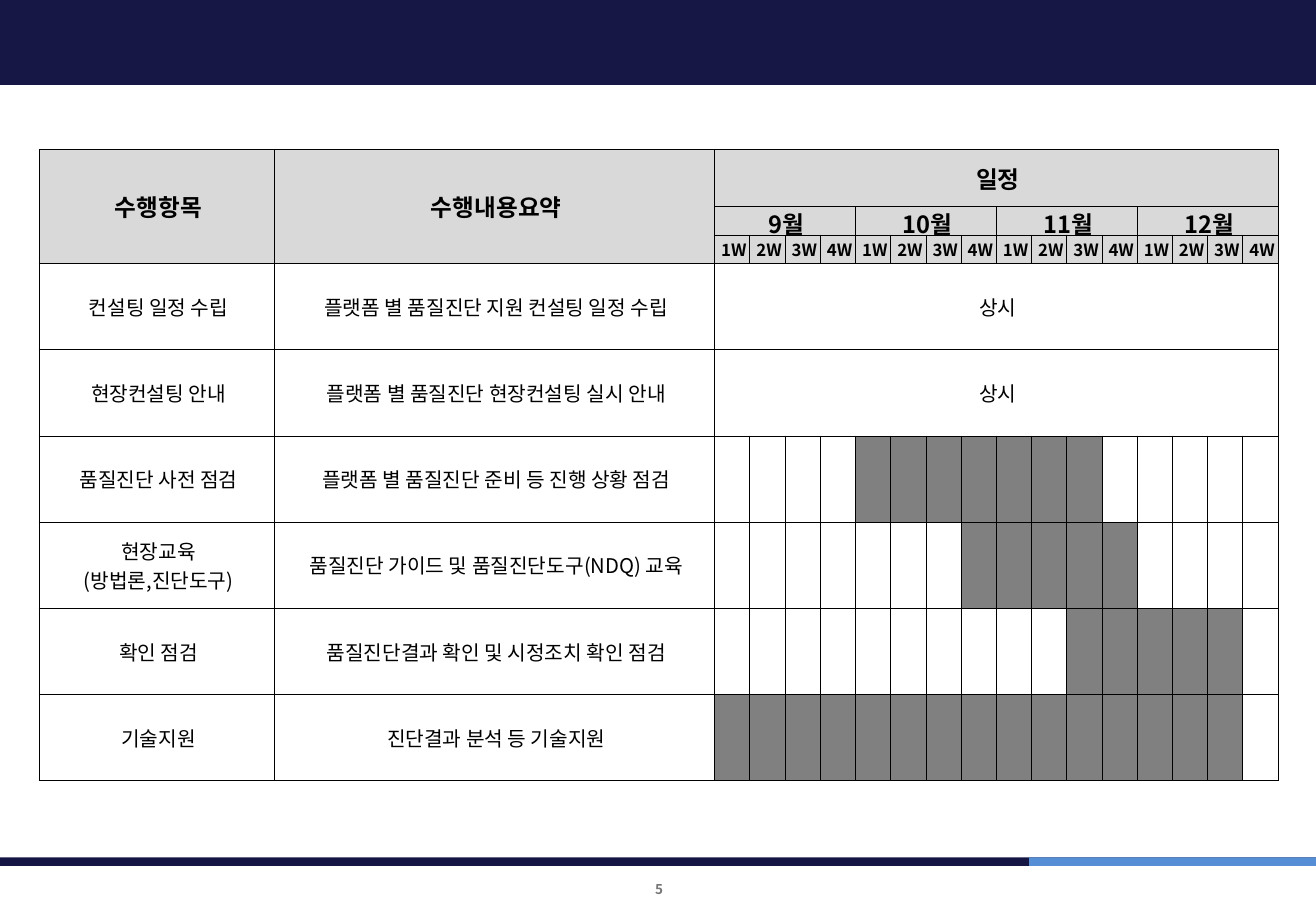
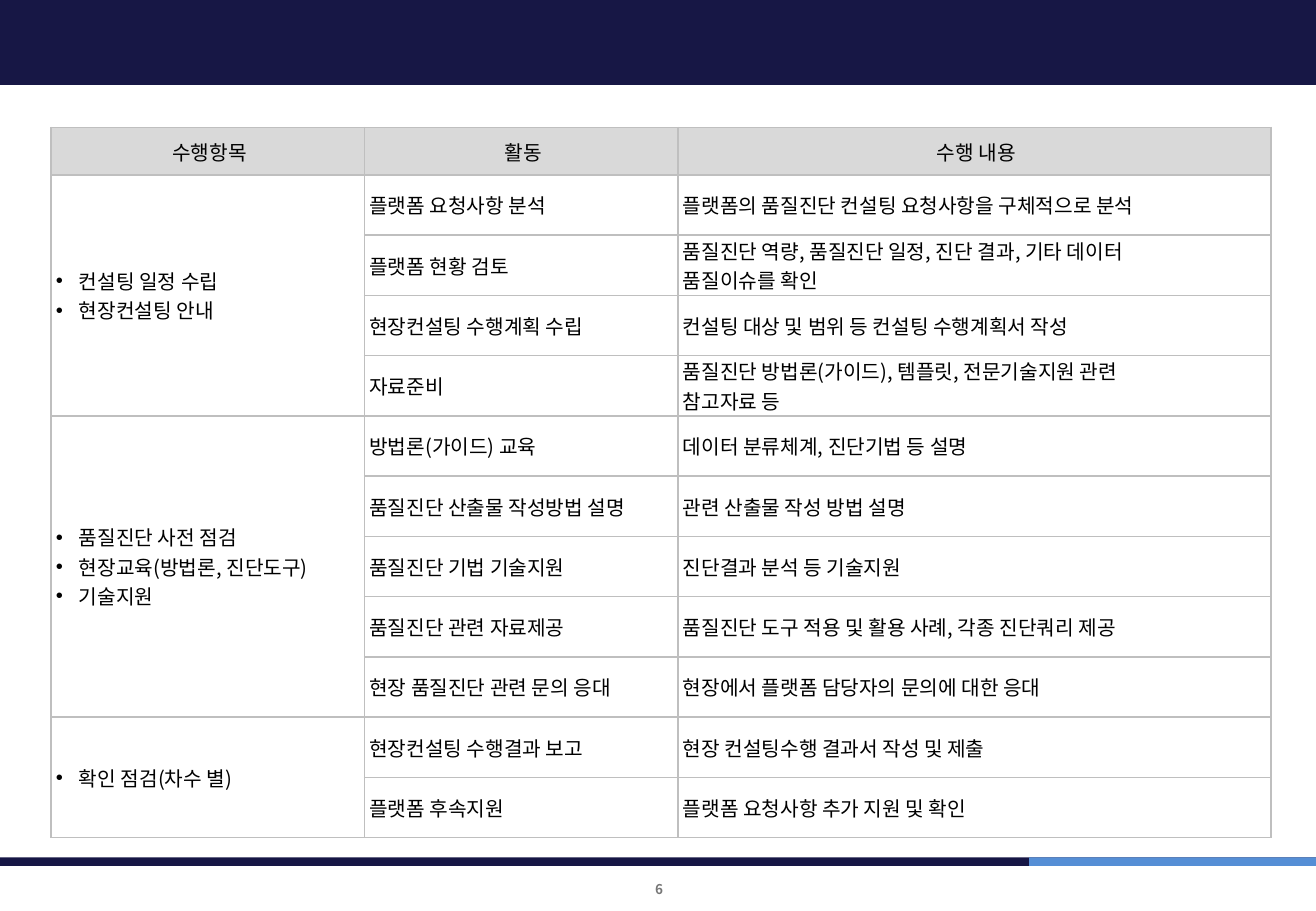
from lxml.etree import SubElement
from pptx import Presentation
from pptx.dml.color import RGBColor
from pptx.enum.shapes import MSO_SHAPE as Shape
from pptx.enum.text import MSO_ANCHOR as Anchor, PP_ALIGN as Align
from pptx.oxml import parse_xml
from pptx.oxml.ns import nsdecls, qn
from pptx.util import Inches, Pt

COLORS = {
    "band": "171745", "rule": "161645", "accent": "558ED5", "number": "777777",
    "white": "FFFFFF", "black": "000000", "header": "D9D9D9", "busy": "808080",
    "grid": "BFBFBF",
}
BODY_FONT = "Noto Sans CJK KR"
BULLET_FONT = "Arial"


def style_para(para, size, color, bold=False, align=Align.LEFT):
    para.alignment = align
    font = para.font
    font.size, font.bold, font.name = Pt(size), bold, BODY_FONT
    font.color.rgb = RGBColor.from_string(COLORS[color])
    east_asian = SubElement(para._p.pPr.find(qn("a:defRPr")), qn("a:ea"))
    east_asian.set("typeface", BODY_FONT)


def fill_cell(cell, text, fill, border, border_width, size=12, bold=False,
              align=Align.CENTER, bullet=False):
    cell.margin_left, cell.margin_right = Inches(0.04), Inches(0.01)
    cell.margin_top = cell.margin_bottom = 0
    cell.vertical_anchor = Anchor.MIDDLE
    properties = cell._tc.get_or_add_tcPr()
    for side in ("lnL", "lnR", "lnT", "lnB"):
        properties.append(parse_xml(
            f'<a:{side} {nsdecls("a")} w="{Pt(border_width)}"><a:solidFill>'
            f'<a:srgbClr val="{COLORS[border]}"/></a:solidFill></a:{side}>'))
    cell.fill.solid()
    cell.fill.fore_color.rgb = RGBColor.from_string(COLORS[fill])
    cell.text_frame.text = text
    for para in cell.text_frame.paragraphs:
        style_para(para, size, "black", bold, align)
        if bullet:
            para_properties = para._p.pPr
            para_properties.set("marL", str(Inches(0.19)))
            para_properties.set("indent", str(-Inches(0.19)))
            para_properties.insert(0, parse_xml(
                f'<a:buFont {nsdecls("a")} typeface="{BULLET_FONT}"/>'))
            para_properties.insert(1, parse_xml(f'<a:buChar {nsdecls("a")} char="•"/>'))


deck = Presentation()
deck.slide_width, deck.slide_height = Inches(10.83), Inches(7.5)

bands = [
    (0, 0, 10.83, 0.7, "band"),
    (0, 7.06, 10.83, 0.07, "rule"),
    (8.47, 7.06, 2.36, 0.07, "accent"),
]
pages = []
for number in (5, 6):
    page = deck.slides.add_slide(deck.slide_layouts[6])
    pages.append(page)
    for left, top, width, height, color in bands:
        band = page.shapes.add_shape(
            Shape.RECTANGLE, Inches(left), Inches(top), Inches(width), Inches(height))
        band.shadow.inherit = False
        band.fill.solid()
        band.fill.fore_color.rgb = RGBColor.from_string(COLORS[color])
        band.line.fill.background()

    number_box = page.shapes.add_textbox(Inches(4.87), Inches(7.22), Inches(1.11), Inches(0.2))
    number_box.text_frame.word_wrap = True
    number_box.text_frame.vertical_anchor = Anchor.MIDDLE
    number_box.text_frame.text = str(number)
    style_para(number_box.text_frame.paragraphs[0], 8, "number", True, Align.CENTER)

schedule_page, activity_page = pages

WEEKS = 16
HEADER_ROWS = 3
tasks = [
    ("컨설팅 일정 수립", "플랫폼 별 품질진단 지원 컨설팅 일정 수립", None),
    ("현장컨설팅 안내", "플랫폼 별 품질진단 현장컨설팅 실시 안내", None),
    ("품질진단 사전 점검", "플랫폼 별 품질진단 준비 등 진행 상황 점검", range(4, 11)),
    ("현장교육\n(방법론,진단도구)", "품질진단 가이드 및 품질진단도구(NDQ) 교육", range(7, 12)),
    ("확인 점검", "품질진단결과 확인 및 시정조치 확인 점검", range(10, 15)),
    ("기술지원", "진단결과 분석 등 기술지원", range(0, 15)),
]
schedule_widths = [1.94, 3.62] + [0.29] * WEEKS
schedule_heights = [0.47, 0.23, 0.23] + [0.71] * len(tasks)
schedule = schedule_page.shapes.add_table(
    len(schedule_heights), len(schedule_widths), Inches(0.32), Inches(1.23),
    Inches(sum(schedule_widths)), Inches(sum(schedule_heights))).table

months = ["9월", "10월", "11월", "12월"]
blank_months = [""] * 3
header_rows = [
    ["수행항목", "수행내용요약", "일정"] + [""] * (WEEKS - 1),
    ["", ""] + [text for month in months for text in [month] + blank_months],
    ["", ""] + [f"{week % 4 + 1}W" for week in range(WEEKS)],
]
for row, texts in enumerate(header_rows):
    for column, text in enumerate(texts):
        fill_cell(schedule.cell(row, column), text, "header", "black", 0.25,
                  size=10 if row == 2 else 14, bold=True)
for row, (task, summary, busy_weeks) in enumerate(tasks, HEADER_ROWS):
    for column, text in enumerate((task, summary)):
        fill_cell(schedule.cell(row, column), text, "white", "black", 0.25)
    for week in range(WEEKS):
        text = "상시" if busy_weeks is None and week == 0 else ""
        fill = "busy" if busy_weeks and week in busy_weeks else "white"
        fill_cell(schedule.cell(row, week + 2), text, fill, "black", 0.25)
    if busy_weeks is None:
        schedule.cell(row, 2).merge(schedule.cell(row, WEEKS + 1))

for column in (0, 1):
    schedule.cell(0, column).merge(schedule.cell(HEADER_ROWS - 1, column))
schedule.cell(0, 2).merge(schedule.cell(0, WEEKS + 1))
for column in range(2, WEEKS + 2, 4):
    schedule.cell(1, column).merge(schedule.cell(1, column + 3))

groups = [
    ("컨설팅 일정 수립\n현장컨설팅 안내", [
        ("플랫폼 요청사항 분석", "플랫폼의 품질진단 컨설팅 요청사항을 구체적으로 분석"),
        ("플랫폼 현황 검토",
         "품질진단 역량, 품질진단 일정, 진단 결과, 기타 데이터 \v품질이슈를 확인"),
        ("현장컨설팅 수행계획 수립", "컨설팅 대상 및 범위 등 컨설팅 수행계획서 작성"),
        ("자료준비", "품질진단 방법론(가이드), 템플릿, 전문기술지원 관련\n참고자료 등"),
    ]),
    ("품질진단 사전 점검\n현장교육(방법론, 진단도구)\n기술지원", [
        ("방법론(가이드) 교육", "데이터 분류체계, 진단기법 등 설명"),
        ("품질진단 산출물 작성방법 설명", "관련 산출물 작성 방법 설명"),
        ("품질진단 기법 기술지원", "진단결과 분석 등 기술지원"),
        ("품질진단 관련 자료제공", "품질진단 도구 적용 및 활용 사례, 각종 진단쿼리 제공"),
        ("현장 품질진단 관련 문의 응대", "현장에서 플랫폼 담당자의 문의에 대한 응대"),
    ]),
    ("확인 점검(차수 별)", [
        ("현장컨설팅 수행결과 보고", "현장 컨설팅수행 결과서 작성 및 제출"),
        ("플랫폼 후속지원", "플랫폼 요청사항 추가 지원 및 확인"),
    ]),
]
activity_count = sum(len(activities) for _, activities in groups)
activity_widths = [2.58, 2.58, 4.88]
activity_heights = [0.39] + [(5.85 - 0.39) / activity_count] * activity_count
activity_table = activity_page.shapes.add_table(
    len(activity_heights), len(activity_widths), Inches(0.42), Inches(1.05),
    Inches(sum(activity_widths)), Inches(sum(activity_heights))).table

for column, text in enumerate(("수행항목", "활동", "수행 내용")):
    fill_cell(activity_table.cell(0, column), text, "header", "grid", 1)
row = 1
for group, activities in groups:
    first_row = row
    for activity, detail in activities:
        texts = (group if row == first_row else "", activity, detail)
        for column, text in enumerate(texts):
            fill_cell(activity_table.cell(row, column), text, "white", "grid", 1,
                      align=Align.LEFT, bullet=column == 0 and text != "")
        row += 1
    activity_table.cell(first_row, 0).merge(activity_table.cell(row - 1, 0))

for table, widths, heights in [
    (schedule, schedule_widths, schedule_heights),
    (activity_table, activity_widths, activity_heights),
]:
    table.first_row = table.horz_banding = False
    for column, width in zip(table.columns, widths):
        column.width = Inches(width)
    for table_row, height in zip(table.rows, heights):
        table_row.height = Inches(height)

deck.save("out.pptx")
